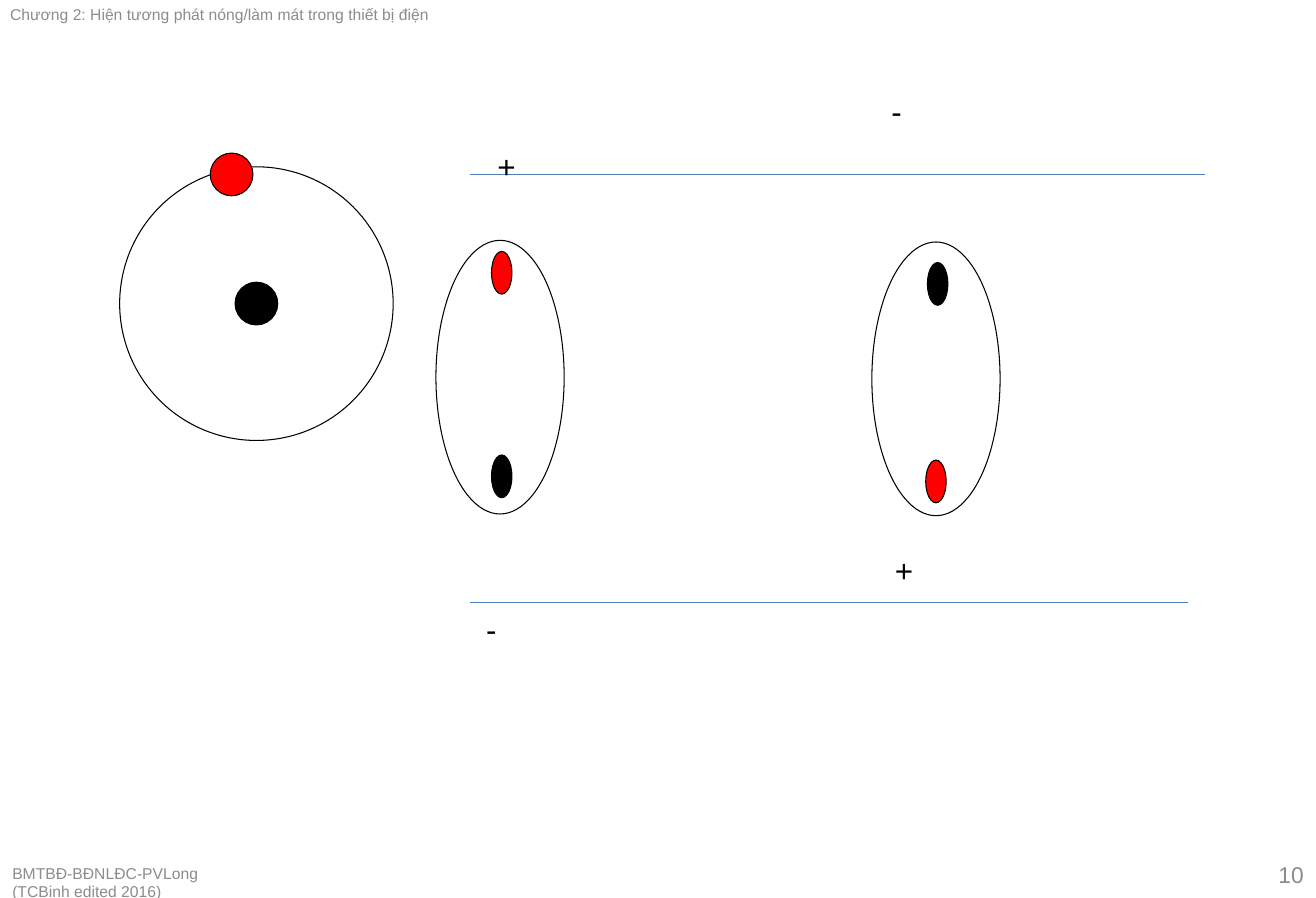
from dataclasses import dataclass

from lxml import etree
from pptx import Presentation
from pptx.dml.color import RGBColor
from pptx.enum.shapes import MSO_CONNECTOR, MSO_SHAPE
from pptx.enum.text import MSO_ANCHOR, PP_ALIGN
from pptx.oxml.ns import qn
from pptx.util import Inches, Pt

STRAIGHT = MSO_CONNECTOR.STRAIGHT
ELLIPSE = MSO_SHAPE.OVAL
TOP, MIDDLE = MSO_ANCHOR.TOP, MSO_ANCHOR.MIDDLE
LEFT, RIGHT = PP_ALIGN.LEFT, PP_ALIGN.RIGHT

WIDTH, HEIGHT = 12.83, 8.75
CELLS = 12  # grid cells per inch
COLUMNS, ROWS = WIDTH * CELLS, HEIGHT * CELLS
BLANK_LAYOUT = 6


@dataclass(frozen=True)
class Theme:
    font: str = "Arial"
    ink: RGBColor = RGBColor(0, 0, 0)
    hot: RGBColor = RGBColor(0xFF, 0, 0)
    wire: RGBColor = RGBColor(0x4B, 0x7E, 0xBC)
    muted: RGBColor = RGBColor(0x8C, 0x8C, 0x8C)
    small: float = 11
    number: float = 16
    sign: float = 22
    stroke: float = 0.75


def grid(cells):
    return Inches(cells / CELLS)


class Page:
    def __init__(self, deck, theme):
        self.theme = theme
        self.shapes = deck.slides.add_slide(deck.slide_layouts[BLANK_LAYOUT]).shapes

    def text(self, words, column, row, width, height, size, color,
             align=LEFT, anchor=TOP, wrap=False, inset=(0.1, 0.05)):
        box = self.shapes.add_textbox(*map(grid, (column, row, width, height)))
        frame = box.text_frame
        frame.word_wrap = wrap
        frame.vertical_anchor = anchor
        frame.margin_left = frame.margin_right = Inches(inset[0])
        frame.margin_top = frame.margin_bottom = Inches(inset[1])
        para = frame.paragraphs[0]
        para.text = words
        para.alignment = align
        para.font.name = self.theme.font
        para.font.size = Pt(size)
        para.font.color.rgb = color

    def sign(self, symbol, column, row):
        width = 4.6 if symbol == "+" else 3.7
        self.text(symbol, column, row, width, 5.6, self.theme.sign, self.theme.ink)

    def ellipse(self, center, size, fill=None):
        (column, row), (width, height) = center, size
        shape = self.shapes.add_shape(ELLIPSE, grid(column - width / 2), grid(row - height / 2),
                                      grid(width), grid(height))
        shape.shadow.inherit = False
        if fill is None:
            shape.fill.background()
        else:
            shape.fill.solid()
            shape.fill.fore_color.rgb = fill
        shape.line.color.rgb = self.theme.ink
        shape.line.width = Pt(self.theme.stroke)

    def rotor(self, center, size, dot_size, black_center, red_center):
        self.ellipse(center, size)
        self.ellipse(black_center, dot_size, self.theme.ink)
        self.ellipse(red_center, dot_size, self.theme.hot)

    def wire(self, start, end, row):
        line = self.shapes.add_connector(STRAIGHT, grid(start), grid(row), grid(end), grid(row))
        line.line.color.rgb = self.theme.wire
        line.line.width = Pt(self.theme.stroke)
        etree.SubElement(line._element.spPr, qn("a:effectLst"))


def main():
    deck = Presentation()
    deck.slide_width, deck.slide_height = Inches(WIDTH), Inches(HEIGHT)
    theme = Theme()
    page = Page(deck, theme)

    # Header, page number and footer
    page.text("Chương 2: Hiện tương phát nóng/làm mát trong thiết bị điện",
              0, 0, 51.7, 3.5, theme.small, theme.muted)
    page.text("10", COLUMNS - 6.4, ROWS - 5.6, 6.4, 5.6, theme.number, theme.muted,
              align=RIGHT, anchor=MIDDLE, wrap=True, inset=(0.12, 0.06))
    page.text("BMTBĐ-BĐNLĐC-PVLong (TCBinh edited 2016)",
              0, ROWS - 3.7, 25, 3.7, theme.small, theme.muted,
              anchor=MIDDLE, wrap=True, inset=(0.12, 0.06))

    # Front view of the molecule
    page.rotor((30, 35.5), (32, 32), (5, 5), (30, 35.5), (27.1, 20.4))

    # Electrode plates
    page.wire(55, 141, 20.4)
    page.wire(55, 139, 70.5)

    # Side views, with the poles reversed on the right
    side, dot = (15, 32), (2.4, 5)
    page.rotor((58.5, 44.1), side, dot, (58.7, 55.7), (58.7, 31.9))
    page.rotor((109.5, 44.3), side, dot, (109.7, 33.2), (109.5, 56.3))

    # Polarity signs
    for symbol, column, row in (("+", 57, 16.6), ("-", 55.7, 70.7),
                                ("+", 103.5, 63.8), ("-", 103.1, 10.2)):
        page.sign(symbol, column, row)

    deck.save("out.pptx")


if __name__ == "__main__":
    main()
